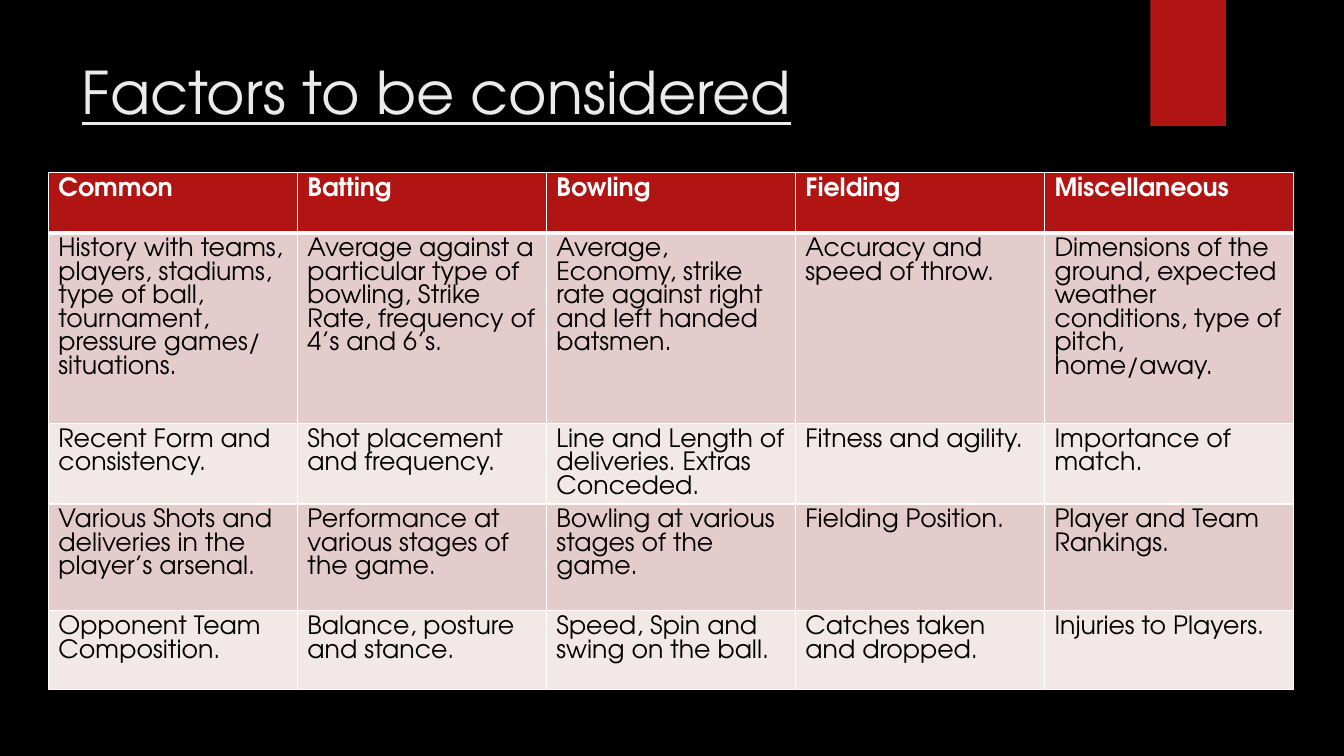
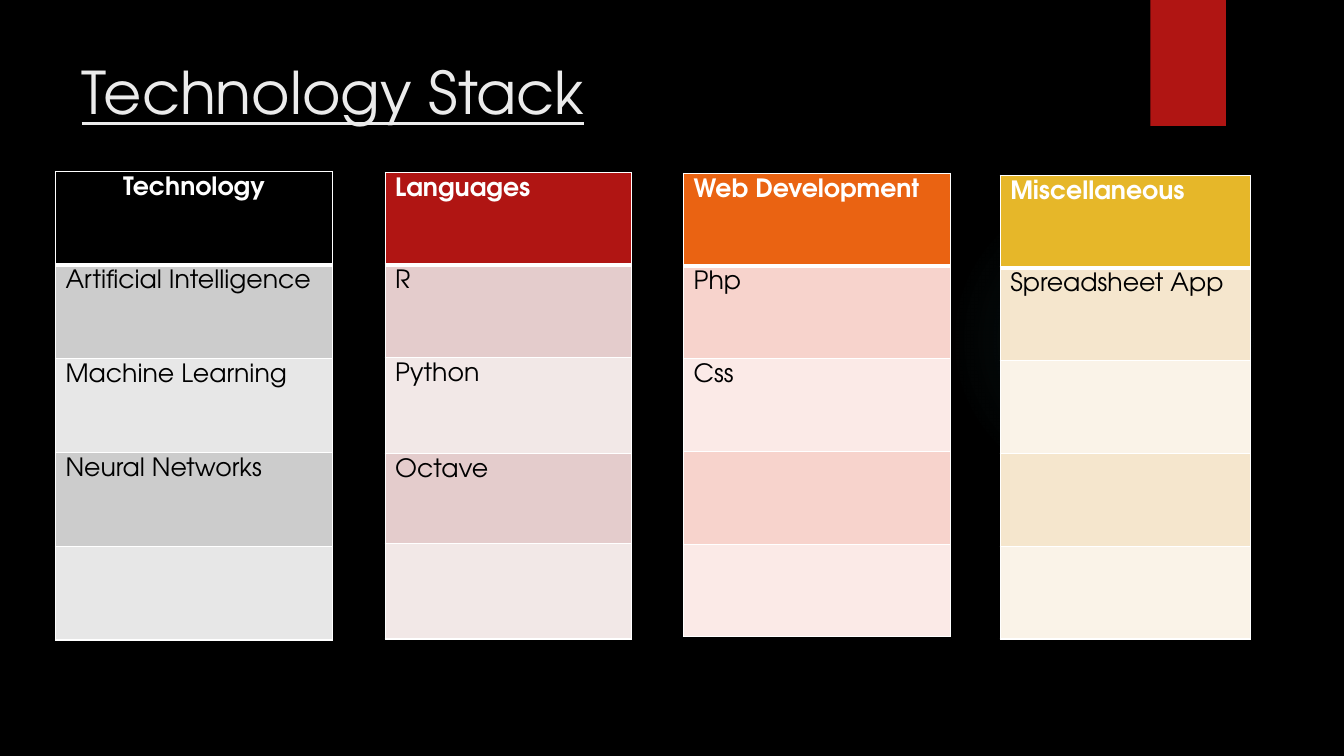
"""Build two dark slides: cricket analysis factors and the technology stack."""
import dataclasses

import lxml.etree
import pptx
import pptx.dml.color
import pptx.enum.shapes
import pptx.enum.text
import pptx.oxml
import pptx.oxml.ns
import pptx.util

Inches = pptx.util.Inches
Pt = pptx.util.Pt
Align = pptx.enum.text.PP_ALIGN
qn = pptx.oxml.ns.qn


@dataclasses.dataclass(frozen=True)
class Theme:
    font: str = "TeX Gyre Adventor"
    title_size: int = 42
    cell_size: int = 18
    background: str = "000000"
    title: str = "EBEBEB"
    header_text: str = "FFFFFF"
    body_text: str = "000000"
    border: str = "FFFFFF"
    ribbon: str = "B01513"
    glow: str = "50B9C1"
    black: tuple = ("000000", "CCCCCC", "E7E7E7")
    red: tuple = ("B01513", "E4CCCC", "F2E8E7")
    orange: tuple = ("EA6312", "F7D3CC", "FBEAE7")
    gold: tuple = ("E6B729", "F5E6CD", "FAF3E8")


theme = Theme()


def style_text(frame, size, color, bold=False, underline=False, align=Align.LEFT):
    for para in frame.paragraphs:
        para.alignment = align
        for span in para.runs:
            span.font.name = theme.font
            span.font.size = Pt(size)
            span.font.bold = bold
            span.font.underline = underline
            span.font.color.rgb = pptx.dml.color.RGBColor.from_string(color)


def add_grid(page, left, top, column_width, heights, hues, rows, header_align=Align.LEFT):
    columns = len(rows[0])
    table = page.shapes.add_table(
        len(rows), columns, Inches(left), Inches(top),
        Inches(column_width * columns), Inches(sum(heights))).table
    table.horz_banding = False
    for column in table.columns:
        column.width = Inches(column_width)
    for index, (height, texts) in enumerate(zip(heights, rows)):
        table.rows[index].height = Inches(height)
        is_header = index == 0
        fill_color = hues[0] if is_header else hues[2 - index % 2]
        widths = {"lnL": 1, "lnR": 1, "lnT": 3 if index == 1 else 1, "lnB": 3 if is_header else 1}
        for position, text in enumerate(texts):
            cell = table.cell(index, position)
            properties = cell._tc.get_or_add_tcPr()
            for side, width in widths.items():
                line = lxml.etree.SubElement(properties, qn("a:" + side), w=str(Pt(width)))
                solid = lxml.etree.SubElement(line, qn("a:solidFill"))
                lxml.etree.SubElement(solid, qn("a:srgbClr"), val=theme.border)
            cell.fill.solid()
            cell.fill.fore_color.rgb = pptx.dml.color.RGBColor.from_string(fill_color)
            cell.text_frame.text = text
            style_text(cell.text_frame, theme.cell_size,
                       theme.header_text if is_header else theme.body_text,
                       bold=is_header, align=header_align if is_header else Align.LEFT)


deck = pptx.Presentation()
deck.slide_width = Inches(13.33)
deck.slide_height = Inches(7.5)
layout = deck.slide_layouts[5]
layout.background.fill.solid()
layout.background.fill.fore_color.rgb = pptx.dml.color.RGBColor.from_string(theme.background)

pages = []
for heading in ("Factors to be considered", "Technology Stack"):
    page = deck.slides.add_slide(layout)
    title = page.shapes.title
    title.left, title.top = Inches(0.71), Inches(0.5)
    title.width, title.height = Inches(10.29), Inches(1.53)
    title.text_frame.text = heading
    title.text_frame.word_wrap = True
    title.text_frame.auto_size = pptx.enum.text.MSO_AUTO_SIZE.NONE
    title.text_frame.vertical_anchor = pptx.enum.text.MSO_ANCHOR.TOP
    style_text(title.text_frame, theme.title_size, theme.title, underline=True)
    pages.append(page)
factors_page, stack_page = pages

glow = factors_page.shapes.add_shape(
    pptx.enum.shapes.MSO_SHAPE.OVAL, Inches(9.41), Inches(1.83), Inches(3.08), Inches(3.08))
glow.fill.gradient()
gradient = glow.element.spPr.find(qn("a:gradFill"))
for child in list(gradient):
    gradient.remove(child)
stops = lxml.etree.SubElement(gradient, qn("a:gsLst"))
for percent, opacity in ((0, 7), (36, 6), (69, 0)):
    stop = lxml.etree.SubElement(stops, qn("a:gs"), pos=str(percent * 1000))
    color = lxml.etree.SubElement(stop, qn("a:srgbClr"), val=theme.glow)
    lxml.etree.SubElement(color, qn("a:alpha"), val=str(opacity * 1000))
circle = lxml.etree.SubElement(gradient, qn("a:path"), path="circle")
lxml.etree.SubElement(circle, qn("a:fillToRect"), l="50000", t="50000", r="50000", b="50000")

ribbon = factors_page.shapes.add_shape(
    pptx.enum.shapes.MSO_SHAPE.RECTANGLE, Inches(11.41), 0, Inches(0.75), Inches(1.25))
ribbon.fill.solid()
ribbon.fill.fore_color.rgb = pptx.dml.color.RGBColor.from_string(theme.ribbon)

for order, decoration in enumerate((glow, ribbon)):
    decoration.line.fill.background()
    decoration.shadow.inherit = False
    decoration.element.nvSpPr.cNvPr.set("id", str(20 + order))
    layout.shapes.element.insert(2 + order, decoration.element)

effects = ribbon.element.spPr.find(qn("a:effectLst"))
shadow = lxml.etree.SubElement(
    effects, qn("a:outerShdw"), blurRad=str(Pt(3)), dist=str(Pt(2)), dir="5400000", rotWithShape="0")
shade = lxml.etree.SubElement(shadow, qn("a:srgbClr"), val=theme.background)
lxml.etree.SubElement(shade, qn("a:alpha"), val="45000")

factors = [
    ("Common", "Batting", "Bowling", "Fielding", "Miscellaneous"),
    ("History with teams, players, stadiums, type of ball, tournament, pressure games/ situations.",
     "Average against a particular type of bowling, Strike Rate, frequency of 4’s and 6’s.",
     "Average, Economy, strike rate against right and left handed batsmen.",
     "Accuracy and speed of throw.",
     "Dimensions of the ground, expected weather conditions, type of pitch, home/away."),
    ("Recent Form and consistency.", "Shot placement and frequency.",
     "Line and Length of deliveries. Extras Conceded.", "Fitness and agility.",
     "Importance of match."),
    ("Various Shots and deliveries in the player’s arsenal.",
     "Performance at various stages of the game.", "Bowling at various stages of the game.",
     "Fielding Position.", "Player and Team Rankings."),
    ("Opponent Team Composition.", "Balance, posture and stance.",
     "Speed, Spin and swing on the ball.", "Catches taken and dropped.",
     "Injuries to Players."),
]
add_grid(factors_page, 0.48, 1.71, 2.47, (0.6, 1.89, 0.8, 1.06, 0.78), theme.red, factors)

stacks = [
    (3.82, 1.71, 2.44, (0.92, 0.92, 0.95, 0.89, 0.95), theme.red, Align.LEFT,
     ("Languages", "R", "Python", "Octave", "")),
    (0.55, 1.7, 2.75, (0.93,) * 5, theme.black, Align.CENTER,
     ("Technology", "Artificial Intelligence", "Machine Learning", "Neural Networks", "")),
    (6.78, 1.72, 2.65, (0.92,) * 5, theme.orange, Align.LEFT,
     ("Web Development", "Php", "Css", "", "")),
    (9.92, 1.74, 2.48, (0.92,) * 5, theme.gold, Align.LEFT,
     ("Miscellaneous", "Spreadsheet App", "", "", "")),
]
for left, top, width, heights, hues, header_align, entries in stacks:
    add_grid(stack_page, left, top, width, heights, hues,
             [(entry,) for entry in entries], header_align)

deck.save("out.pptx")
